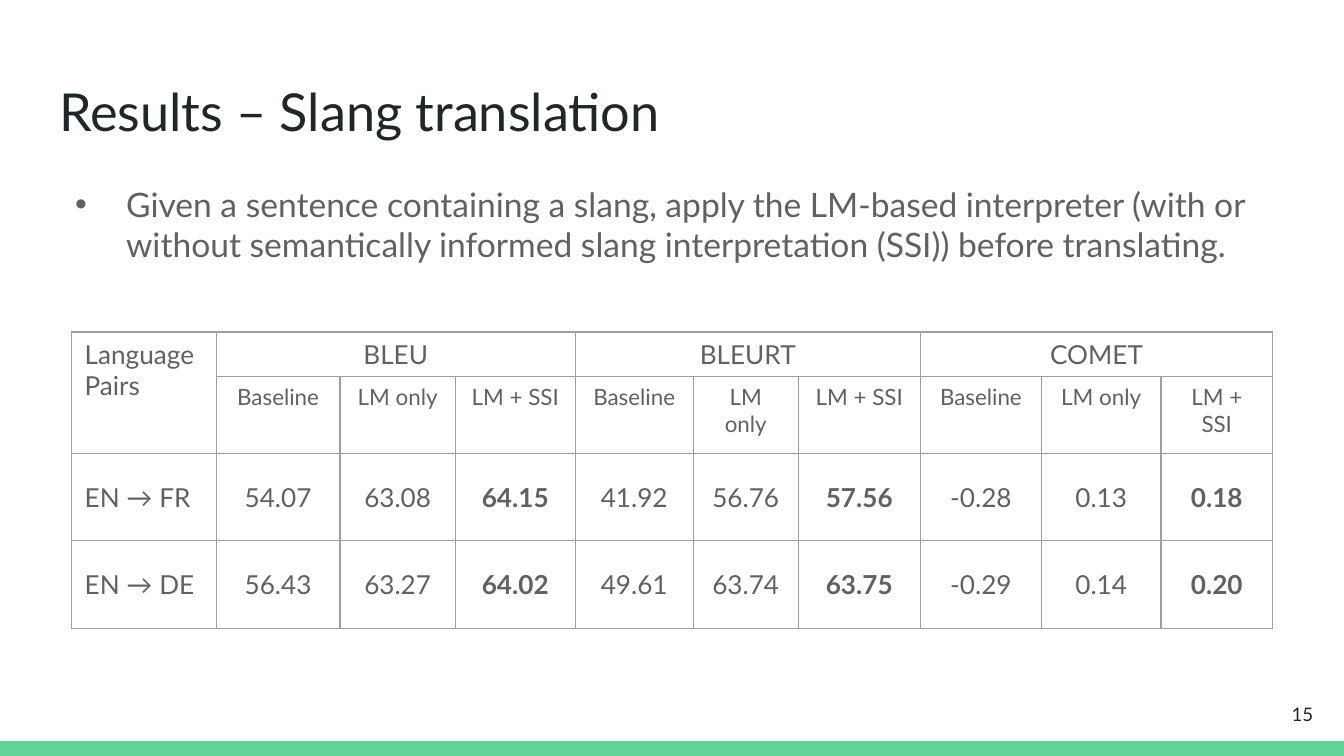
"""Build the slang translation results slide."""
from lxml import etree
from pptx import Presentation
from pptx.dml.color import RGBColor
from pptx.enum import shapes, text
from pptx.oxml import ns
from pptx.util import Inches, Pt

COLORS = {"ink": "202729", "body": "616161", "grid": "9E9E9E", "bar": "63D297"}
FONT = "Lato"
TITLE = "Results – Slang translation"
BULLET = ("Given a sentence containing a slang, apply the LM-based interpreter (with or "
          "without semantically informed slang interpretation (SSI)) before translating.")
PAGE = "15"
CORNER = "Language Pairs"
METRICS = ["BLEU", "BLEURT", "COMET"]
MODELS = ["Baseline", "LM only", "LM + SSI"]
RESULTS = [
    ["EN → FR", "54.07", "63.08", "64.15", "41.92", "56.76", "57.56", "-0.28", "0.13", "0.18"],
    ["EN → DE", "56.43", "63.27", "64.02", "49.61", "63.74", "63.75", "-0.29", "0.14", "0.20"],
]
COL_WIDTHS = [1.08, 0.92, 0.86, 0.89, 0.88, 0.78, 0.91, 0.9, 0.89, 0.83]
ROW_HEIGHTS = [0.33, 0.57, 0.65, 0.65]
LEFT, CENTER, RIGHT = text.PP_ALIGN.LEFT, text.PP_ALIGN.CENTER, text.PP_ALIGN.RIGHT
TOP, MIDDLE = text.MSO_ANCHOR.TOP, text.MSO_ANCHOR.MIDDLE


def rgb(name):
    return RGBColor.from_string(COLORS[name])


def write(tf, content, size, color="body", align=LEFT, bold=False):
    tf.text = content
    p = tf.paragraphs[0]
    p.alignment = align
    font = p.runs[0].font
    font.name, font.size, font.bold = FONT, Pt(size), bold
    font.color.rgb = rgb(color)
    return p


def frame(sp, anchor=TOP):
    tf = sp.text_frame
    tf.word_wrap = True
    tf.auto_size = text.MSO_AUTO_SIZE.NONE
    tf.vertical_anchor = anchor
    tf.margin_left = tf.margin_right = tf.margin_top = tf.margin_bottom = Inches(0.1)
    return tf


def add_color(parent, name):
    etree.SubElement(parent, ns.qn("a:srgbClr"), val=COLORS[name])


def add_bullet(p):
    pPr = p._p.get_or_add_pPr()
    pPr.set("marL", str(Inches(0.5)))
    pPr.set("indent", str(Inches(-0.38)))
    add_color(etree.SubElement(pPr, ns.qn("a:buClr")), "body")
    etree.SubElement(pPr, ns.qn("a:buFont"), typeface="Arial")
    etree.SubElement(pPr, ns.qn("a:buChar"), char="•")


def add_borders(cell):
    tcPr = cell._tc.get_or_add_tcPr()
    for side in ("lnL", "lnR", "lnT", "lnB"):
        ln = etree.SubElement(tcPr, ns.qn("a:" + side), w=str(Pt(0.75)))
        add_color(etree.SubElement(ln, ns.qn("a:solidFill")), "grid")


def add_results(s):
    rows, cols = len(ROW_HEIGHTS), len(COL_WIDTHS)
    table = s.shapes.add_table(rows, cols, Inches(0.53), Inches(2.47),
                               Inches(sum(COL_WIDTHS)), Inches(sum(ROW_HEIGHTS))).table
    table.first_row = table.horz_banding = False
    for col, width in zip(table.columns, COL_WIDTHS):
        col.width = Inches(width)
    for row, height in zip(table.rows, ROW_HEIGHTS):
        row.height = Inches(height)
    for cell in table.iter_cells():
        add_borders(cell)
        cell.fill.background()

    table.cell(0, 0).merge(table.cell(1, 0))
    write(table.cell(0, 0).text_frame, CORNER, 14)
    span = len(MODELS)
    for i, metric in enumerate(METRICS):
        first = 1 + i * span
        table.cell(0, first).merge(table.cell(0, first + span - 1))
        write(table.cell(0, first).text_frame, metric, 14, align=CENTER)
        for j, model in enumerate(MODELS):
            write(table.cell(1, first + j).text_frame, model, 12, align=CENTER)
    for r, values in enumerate(RESULTS, 2):
        for c, value in enumerate(values):
            cell = table.cell(r, c)
            cell.vertical_anchor = MIDDLE
            best = c > 0 and c % span == 0
            write(cell.text_frame, value, 14, align=CENTER if c else LEFT, bold=best)


def main():
    prs = Presentation()
    prs.slide_width = Inches(10)
    prs.slide_height = prs.slide_width * 9 // 16
    s = prs.slides.add_slide(prs.slide_layouts[5])

    bar_height = Inches(0.11)
    bar = s.shapes.add_shape(shapes.MSO_SHAPE.RECTANGLE, 0, prs.slide_height - bar_height,
                             prs.slide_width, bar_height)
    bar.shadow.inherit = False
    bar.fill.solid()
    bar.fill.fore_color.rgb = rgb("bar")
    bar.line.fill.background()

    title = s.shapes.title
    title.left, title.top, title.width, title.height = map(Inches, (0.34, 0.49, 9.32, 0.63))
    write(frame(title), TITLE, 28, "ink")

    body = s.shapes.add_textbox(*map(Inches, (0.34, 1.27, 9.32, 4.03)))
    add_bullet(write(frame(body), BULLET, 18))

    number = s.shapes.add_textbox(*map(Inches, (9.27, 5.1, 0.6, 0.43)))
    write(frame(number, MIDDLE), PAGE, 10, "ink", RIGHT)

    add_results(s)
    prs.save("out.pptx")


if __name__ == "__main__":
    main()
